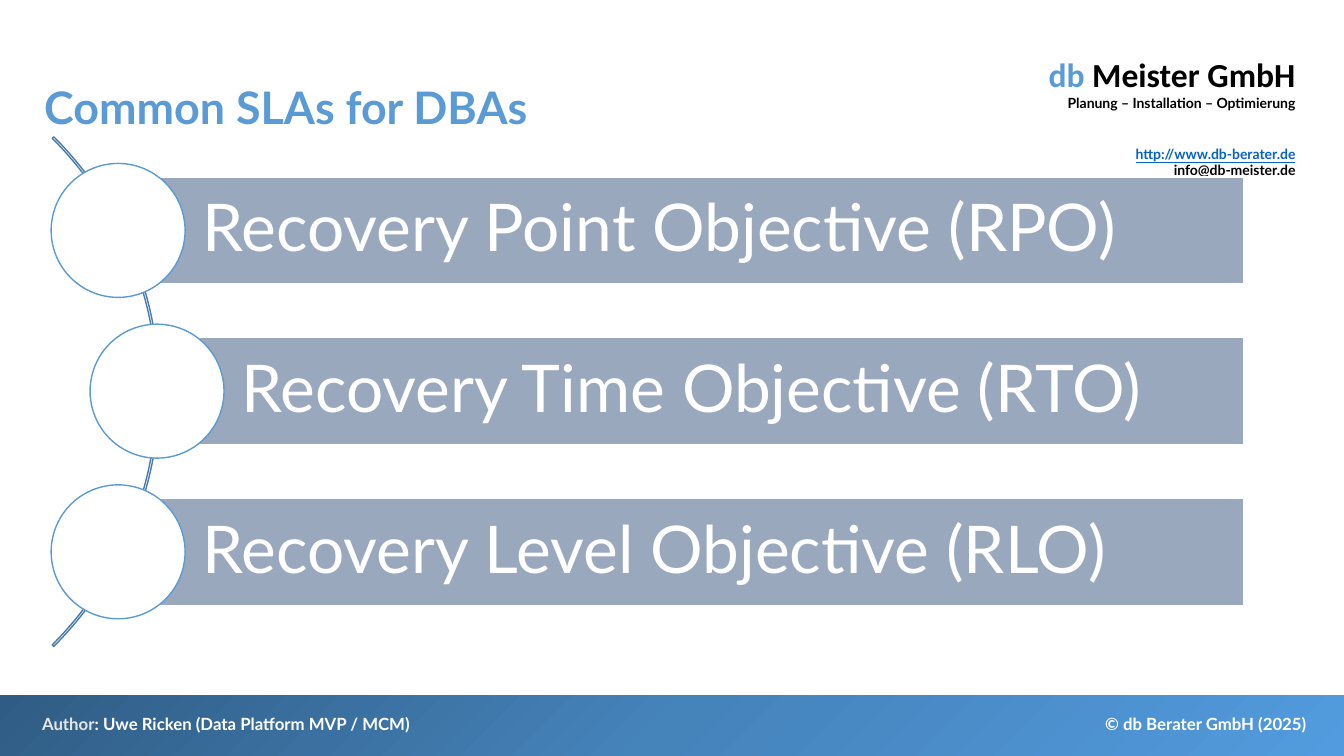
from pptx import Presentation
from pptx.dml.color import RGBColor
from pptx.enum.shapes import MSO_SHAPE as Shape
from pptx.enum.text import MSO_ANCHOR as Anchor, PP_ALIGN as Align
from pptx.oxml import parse_xml
from pptx.util import Pt

BLUE, BLACK, WHITE = "5B9BD5", "000000", "FFFFFF"


def color(hex_code):
    return RGBColor.from_string(hex_code)


def write(box, text, size=12, ink=WHITE, font="Lato", bold=True, underline=False,
          align=Align.LEFT, spacing=1.0, before=0, joined=False, first=True,
          anchor=Anchor.TOP, insets=(7.2, 3.6, 7.2, 3.6)):
    frame = box.text_frame
    if first and not joined:
        frame.word_wrap = True
        frame.vertical_anchor = anchor
        (frame.margin_left, frame.margin_top,
         frame.margin_right, frame.margin_bottom) = [Pt(inset) for inset in insets]
    para = frame.paragraphs[-1] if first or joined else frame.add_paragraph()
    para.alignment = align
    para.line_spacing = spacing
    if before:
        para.space_before = Pt(before)
    span = para.add_run()
    span.text = text
    span.font.name = font
    span.font.size = Pt(size)
    span.font.bold = bold
    span.font.underline = underline
    span.font.color.rgb = color(ink)


deck = Presentation()
deck.slide_width, deck.slide_height = Pt(960), Pt(540)
page = deck.slides.add_slide(deck.slide_layouts[6])
shapes = page.shapes

header = shapes.add_textbox(Pt(738), Pt(35.3), Pt(194.4), Pt(97.2))
write(header, "db ", size=24, ink=BLUE, font="Calibri", align=Align.RIGHT)
write(header, "Meister GmbH", size=24, ink=BLACK, font="Calibri",
      align=Align.RIGHT, joined=True)
write(header, "Planung – Installation – Optimierung", size=10, ink=BLACK,
      align=Align.RIGHT, first=False)
write(header, "http://www.db-berater.de", size=10, ink="0563C1", underline=True,
      align=Align.RIGHT, before=24, first=False)
write(header, "info@db-meister.de", size=10, ink=BLACK, align=Align.RIGHT, first=False)

footer = shapes.add_shape(Shape.RECTANGLE, Pt(0), Pt(496.5), Pt(960), Pt(43.5))
footer.shadow.inherit = False
footer.line.fill.background()
footer.fill.background()
stops = "".join(
    f'<a:gs pos="{position}"><a:srgbClr val="{shade}"/></a:gs>'
    for position, shade in ((0, "305C84"), (50000, "4583BB"), (100000, "529BDE")))
gradient = parse_xml(
    '<a:gradFill xmlns:a="http://schemas.openxmlformats.org/drawingml/2006/main" '
    f'rotWithShape="1"><a:gsLst>{stops}</a:gsLst><a:path path="circle">'
    '<a:fillToRect r="100000" b="100000"/></a:path></a:gradFill>')
properties = footer.fill._xPr
properties.replace(properties.noFill, gradient)

rights = shapes.add_textbox(Pt(759.6), Pt(506.2), Pt(180.7), Pt(21.6))
write(rights, "© db Berater GmbH (2025)", align=Align.RIGHT)
author = shapes.add_textbox(Pt(23), Pt(506.2), Pt(381.6), Pt(21.6))
write(author, "Author", ink="E7E6E6")
write(author, ": Uwe Ricken (Data Platform MVP / MCM)", joined=True)

title = shapes.add_textbox(Pt(26.6), Pt(34.6), Pt(680.4), Pt(87.8))
write(title, "Common SLAs for DBAs", size=32, ink=BLUE, spacing=0.9,
      anchor=Anchor.MIDDLE, insets=(5, 2.9, 5, 2.9))

arc = shapes.add_shape(Shape.BLOCK_ARC, Pt(-401), Pt(22.3), Pt(514.8), Pt(514.8))
arc.adjustments[0], arc.adjustments[1], arc.adjustments[2] = 189, 27, 0.003
arc.shadow.inherit = False
arc.fill.background()
arc.line.color.rgb = color("497CAB")
arc.line.width = Pt(1)

BAR_RIGHT, BAR_HEIGHT, CIRCLE, PITCH = 888.7, 76.3, 95.7, 114.8
objectives = (
    ("Recovery Point Objective (RPO)", 84.4),
    ("Recovery Time Objective (RTO)", 112.2),
    ("Recovery Level Objective (RLO)", 84.4),
)
for index, (label, center_x) in enumerate(objectives):
    center_y = 164.6 + index * PITCH
    bar = shapes.add_shape(Shape.RECTANGLE, Pt(center_x), Pt(center_y - BAR_HEIGHT / 2),
                           Pt(BAR_RIGHT - center_x), Pt(BAR_HEIGHT))
    circle = shapes.add_shape(Shape.OVAL, Pt(center_x - CIRCLE / 2),
                              Pt(center_y - CIRCLE / 2), Pt(CIRCLE), Pt(CIRCLE))
    for item, fill, outline in ((bar, "99A8BD", WHITE), (circle, WHITE, BLUE)):
        item.shadow.inherit = False
        item.fill.solid()
        item.fill.fore_color.rgb = color(fill)
        item.line.color.rgb = color(outline)
        item.line.width = Pt(1)
    write(bar, label, size=47, bold=False, spacing=0.9, anchor=Anchor.MIDDLE,
          insets=(60.5, 9.4, 9.4, 9.4))

deck.save("out.pptx")
